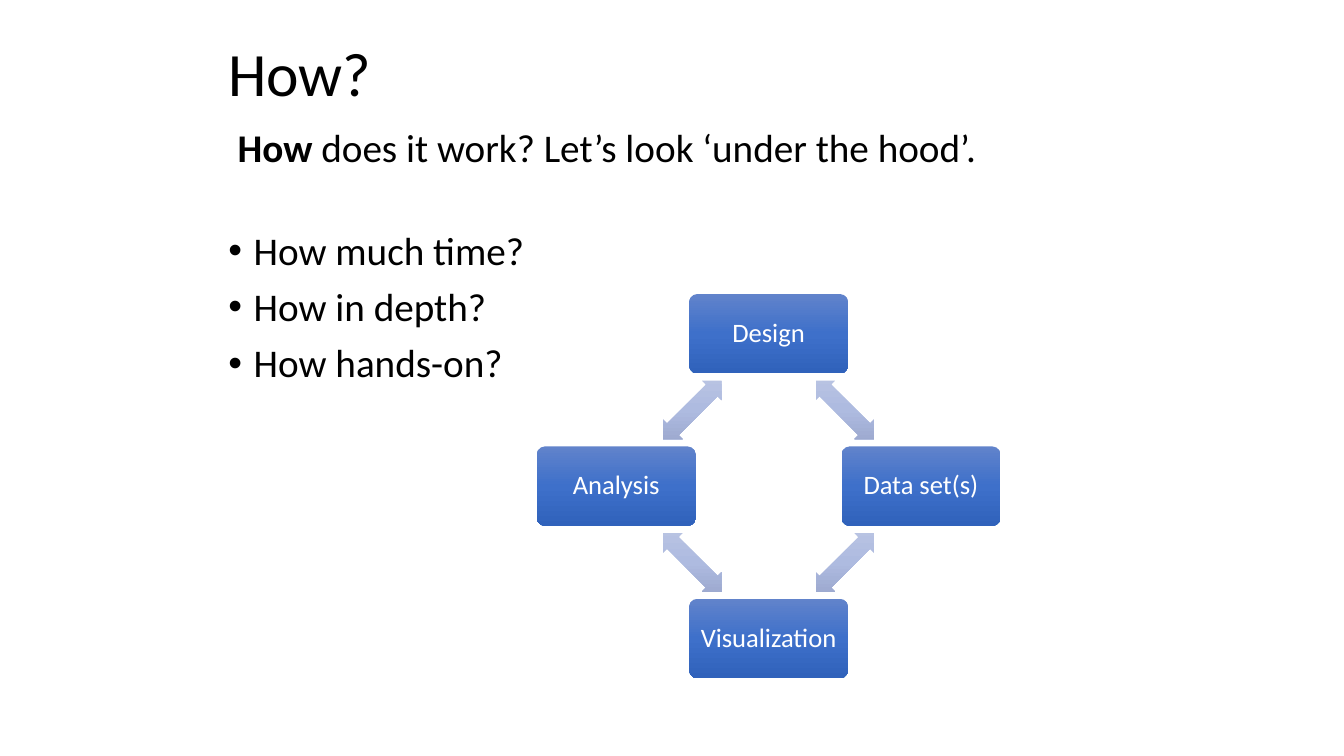
"""Build the "How?" slide with a bullet list and a four-step design cycle."""
from copy import deepcopy
from math import cos, radians, sin

from lxml.etree import SubElement
from pptx import Presentation
from pptx.dml.color import RGBColor
from pptx.enum.shapes import MSO_SHAPE as Shape
from pptx.enum.text import MSO_ANCHOR as Anchor, MSO_AUTO_SIZE as AutoSize, PP_ALIGN as Align
from pptx.oxml.ns import qn
from pptx.util import Cm, Pt

BLACK = RGBColor(0x00, 0x00, 0x00)
WHITE = RGBColor(0xFF, 0xFF, 0xFF)
NODE_COLORS = [RGBColor(0x61, 0x83, 0xCB), RGBColor(0x3E, 0x70, 0xCA), RGBColor(0x30, 0x62, 0xBB)]
ARROW_COLORS = [RGBColor(0xBB, 0xC5, 0xE3), RGBColor(0xAE, 0xBB, 0xE0), RGBColor(0x98, 0xA4, 0xCB)]
BULLET_INDENT = Cm(0.64)

CENTER_X, CENTER_Y, RADIUS = 19.37, 12.25, 3.84
NODE_WIDTH, NODE_HEIGHT = 4, 2
ARROW_WIDTH, ARROW_HEIGHT = 2.08, 0.69


def write(paragraph, text, size=28, color=BLACK, bold=False, align=Align.LEFT, spacing=0.9):
    paragraph.alignment = align
    paragraph.line_spacing = spacing
    run = paragraph.add_run()
    run.text = text
    run.font.name = "Calibri"
    run.font.size = Pt(size)
    run.font.bold = bold
    run.font.color.rgb = color


def add_gradient_shape(kind, x, y, width, height, colors):
    shape = slide.shapes.add_shape(
        kind, Cm(x - width / 2), Cm(y - height / 2), Cm(width), Cm(height))
    shape.shadow.inherit = False
    shape.line.fill.background()
    shape.fill.gradient()
    shape.fill.gradient_angle = 270
    gradient = shape.element.spPr.find(qn("a:gradFill"))
    gradient.set("rotWithShape", "0")
    stop_list = gradient.find(qn("a:gsLst"))
    stop_list.insert(1, deepcopy(stop_list[0]))
    for stop, color, position in zip(shape.fill.gradient_stops, colors, (0, 0.5, 1)):
        stop.color.rgb = color
        stop.position = position
    return shape


presentation = Presentation()
presentation.slide_width, presentation.slide_height = Cm(33.87), Cm(19.05)
slide = presentation.slides.add_slide(presentation.slide_layouts[1])

title = slide.shapes.title
title.left, title.top, title.width, title.height = Cm(5.5), Cm(0.76), Cm(21.17), Cm(2.34)
title.text_frame.auto_size = AutoSize.NONE
title.text_frame.vertical_anchor = Anchor.MIDDLE
write(title.text_frame.paragraphs[0], "How?", size=44)

body = slide.placeholders[1]
body.left, body.top, body.width, body.height = Cm(5.5), Cm(5.7), Cm(21.17), Cm(12.1)
body.text_frame.auto_size = AutoSize.NONE
for index, question in enumerate(["How much time?", "How in depth?", "How hands-on?"]):
    paragraph = body.text_frame.add_paragraph() if index else body.text_frame.paragraphs[0]
    properties = paragraph._p.get_or_add_pPr()
    properties.set("marL", str(BULLET_INDENT))
    properties.set("indent", str(-BULLET_INDENT))
    SubElement(properties, qn("a:buFont")).set("typeface", "Arial")
    SubElement(properties, qn("a:buChar")).set("char", "•")
    paragraph.space_before = Pt(10 if index else 0)
    write(paragraph, question)

for index, label in enumerate(["Design", "Data set(s)", "Visualization", "Analysis"]):
    angle = radians(90 * index)
    across, down = sin(angle), -cos(angle)
    node = add_gradient_shape(
        Shape.ROUNDED_RECTANGLE, CENTER_X + RADIUS * across, CENTER_Y + RADIUS * down,
        NODE_WIDTH, NODE_HEIGHT, NODE_COLORS)
    node.adjustments[0] = 0.1
    frame = node.text_frame
    frame.word_wrap = True
    frame.vertical_anchor = Anchor.MIDDLE
    frame.margin_left = frame.margin_right = frame.margin_top = frame.margin_bottom = Cm(0.1)
    write(frame.paragraphs[0], label, size=19, color=WHITE, align=Align.CENTER)

    arrow = add_gradient_shape(
        Shape.LEFT_RIGHT_ARROW, CENTER_X + RADIUS / 2 * (across - down),
        CENTER_Y + RADIUS / 2 * (down + across), ARROW_WIDTH, ARROW_HEIGHT, ARROW_COLORS)
    arrow.adjustments[0] = 0.6
    arrow.adjustments[1] = 0.5
    arrow.rotation = 45 + 90 * index

intro = slide.shapes.add_textbox(Cm(5.74), Cm(2.99), Cm(19.43), Cm(1.45))
intro.text_frame.word_wrap = False
intro.text_frame.auto_size = AutoSize.SHAPE_TO_FIT_TEXT
intro_paragraph = intro.text_frame.paragraphs[0]
write(intro_paragraph, "How", bold=True, spacing=1.0)
write(intro_paragraph, " does it work? Let’s look ‘under the hood’.", spacing=1.0)

presentation.save("out.pptx")
